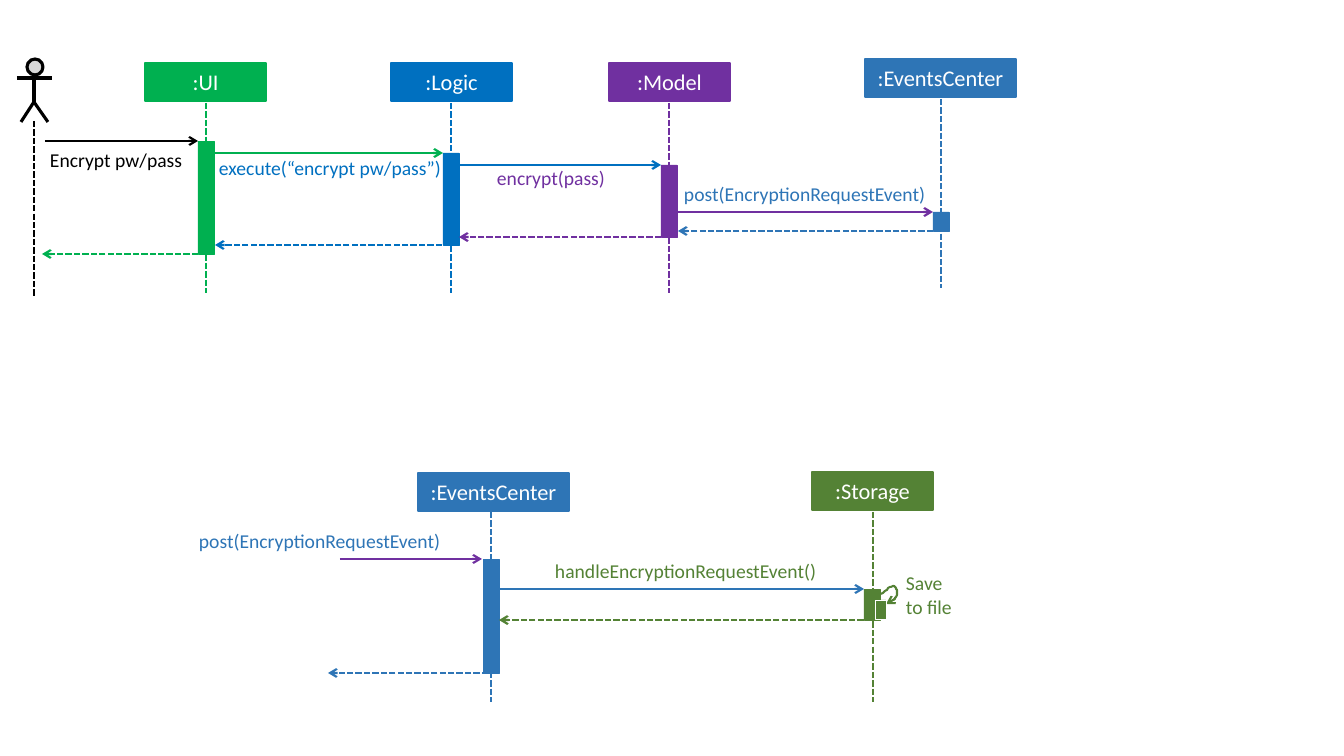
from pptx import Presentation
from pptx.dml.color import RGBColor
from pptx.enum.dml import MSO_LINE
from pptx.enum.shapes import MSO_CONNECTOR, MSO_SHAPE
from pptx.enum.text import MSO_ANCHOR, PP_ALIGN
from pptx.oxml.ns import qn
from pptx.util import Pt
from lxml import etree

RECT, CIRCLE = MSO_SHAPE.RECTANGLE, MSO_SHAPE.FLOWCHART_CONNECTOR
STRAIGHT = MSO_CONNECTOR.STRAIGHT
DASH = MSO_LINE.SQUARE_DOT
MIDDLE, CENTER, LEFT = MSO_ANCHOR.MIDDLE, PP_ALIGN.CENTER, PP_ALIGN.LEFT

PX = 914400 / 100.8
FONT = "Calibri"
HEAD_H, BAR_W = 38, 16
BLACK, WHITE, GREY = "000000", "FFFFFF", "D9D9D9"
UI, LOGIC, MODEL = "00B050", "0070C0", "7030A0"
EVENTS, STORAGE = "2E75B6", "548235"

# label, colour, head (left, top, width), lifeline (x, top, bottom), bar (left, top, bottom)
PARTICIPANTS = [
    (":UI", UI, (145, 63, 121), (206, 103, 293), (198, 141, 254)),
    (":Logic", LOGIC, (391, 63, 121), (451, 103, 293), (443, 153, 245)),
    (":Model", MODEL, (609, 63, 121), (669, 103, 293), (661, 165, 237)),
    (":EventsCenter", EVENTS, (865, 59, 151), (941, 99, 288), (933, 212, 231)),
    (":EventsCenter", EVENTS, (418, 473, 151), (491, 512, 702), (483, 559, 673)),
    (":Storage", STORAGE, (812, 472, 121), (873, 512, 702), (864, 589, 620)),
]
# colour, y, from x, to x
CALLS = [
    (BLACK, 141, 45, 198),
    (UI, 153, 215, 443),
    (LOGIC, 165, 459, 661),
    (MODEL, 212, 678, 933),
    (MODEL, 559, 340, 482),
    (EVENTS, 589, 499, 864),
]
RETURNS = [
    (EVENTS, 231, 933, 678),
    (MODEL, 237, 661, 459),
    (LOGIC, 245, 442, 215),
    (UI, 254, 198, 42),
    (STORAGE, 620, 872, 499),
    (EVENTS, 673, 488, 328),
]
# text, colour, left, top, width, height
LABELS = [
    ("Encrypt pw/pass", BLACK, 50, 148, 137, 24),
    ("execute(“encrypt pw/pass”)", LOGIC, 219, 156, 223, 24),
    ("encrypt(pass)", MODEL, 497, 166, 157, 24),
    ("post(EncryptionRequestEvent)", EVENTS, 684, 182, 277, 24),
    ("post(EncryptionRequestEvent)", EVENTS, 199, 529, 299, 24),
    ("handleEncryptionRequestEvent()", STORAGE, 555, 559, 293, 24),
    ("Save\vto file", STORAGE, 906, 571, 60, 48),
]
ACTOR_X = 34
ACTOR_HEAD = (27, 59, 16, 16)
ACTOR_LINES = [(ACTOR_X, 75, ACTOR_X, 102), (17, 78, 52, 78)]
ACTOR_LEGS = [(21, 122), (ACTOR_X, 102), (48, 122)]
ACTOR_LIFELINE = (ACTOR_X, 121, ACTOR_X, 297)
SELF_BAR = (875, 600, 11, 19)
# Bezier segments of the loop, each four control points
SELF_LOOP = [
    ((881, 594), (886, 590), (891, 586), (894, 586)),
    ((894, 586), (897, 587), (898, 593), (896, 597)),
    ((896, 597), (895, 600), (890, 602), (886, 604)),
]


def emu(*values):
    """Turn pixels into EMU."""
    return [round(v * PX) for v in values]


def rgb(value):
    """Turn a hex string into a colour."""
    return RGBColor.from_string(value)


def style_line(sp, color, width, dashed=False, arrow=False):
    """Set the outline of a shape or connector, with an arrow at its end if asked."""
    sp.line.color.rgb = rgb(color)
    sp.line.width = Pt(width)
    if dashed:
        sp.line.dash_style = DASH
    if arrow:
        ln = sp.line._get_or_add_ln()
        etree.SubElement(ln, qn("a:tailEnd"), type="arrow")


def add_line(shapes, points, color, width=1.5, dashed=False, arrow=False):
    """Add a straight connector without shadow."""
    cx = shapes.add_connector(STRAIGHT, *emu(*points))
    style_line(cx, color, width, dashed, arrow)
    etree.SubElement(cx._element.spPr, qn("a:effectLst"))


def add_block(shapes, kind, box, fill, line, width):
    """Add a filled preset shape without shadow."""
    sp = shapes.add_shape(kind, *emu(*box))
    sp.shadow.inherit = False
    sp.fill.solid()
    sp.fill.fore_color.rgb = rgb(fill)
    style_line(sp, line, width)
    return sp


def add_path(shapes, points, color, width, arrow=False):
    """Add an open, unfilled outline through the points."""
    builder = shapes.build_freeform(*points[0], scale=PX)
    builder.add_line_segments(points[1:], close=False)
    sp = builder.convert_to_shape()
    sp.shadow.inherit = False
    sp.fill.background()
    style_line(sp, color, width, arrow=arrow)


def write(sp, text, color, size, align):
    """Write one paragraph into a shape without margins."""
    tf = sp.text_frame
    tf.word_wrap = True
    tf.margin_left = tf.margin_right = tf.margin_top = tf.margin_bottom = 0
    p = tf.paragraphs[0]
    p.text = text
    p.alignment = align
    p.font.name, p.font.size = FONT, Pt(size)
    p.font.color.rgb = rgb(color)
    return tf


def bezier(a, b, c, d, steps=8):
    """Return points along a cubic curve, start left out."""
    def at(t, i):
        u = 1 - t
        return u**3 * a[i] + 3 * u * u * t * b[i] + 3 * u * t * t * c[i] + t**3 * d[i]
    return [(at(n / steps, 0), at(n / steps, 1)) for n in range(1, steps + 1)]


def add_participant(shapes, label, color, head, life, bar):
    """Add a head with its lifeline and activation bar."""
    left, top, width = head
    sp = add_block(shapes, RECT, (left, top, width, HEAD_H), color, color, 1.5)
    write(sp, label, WHITE, 16, CENTER).vertical_anchor = MIDDLE
    x, start, end = life
    add_line(shapes, (x, start, x, end), color, dashed=True)
    left, top, bottom = bar
    add_block(shapes, RECT, (left, top, BAR_W, bottom - top), color, color, 0.5)


def add_actor(shapes):
    """Add the stick figure as a group, and its lifeline."""
    parts = shapes.add_group_shape().shapes
    add_block(parts, CIRCLE, ACTOR_HEAD, GREY, BLACK, 2.25)
    for points in ACTOR_LINES:
        add_line(parts, points, BLACK, 2.25)
    add_path(parts, ACTOR_LEGS, BLACK, 2.25)
    add_line(shapes, ACTOR_LIFELINE, BLACK, dashed=True)


def add_self_call(shapes):
    """Add the nested bar and the loop arrow that ends at it."""
    points = [SELF_LOOP[0][0]]
    for segment in SELF_LOOP:
        points += bezier(*segment)
    add_path(shapes, points, STORAGE, 1.5, arrow=True)
    add_block(shapes, RECT, SELF_BAR, STORAGE, WHITE, 0.5)


prs = Presentation()
prs.slide_width, prs.slide_height = emu(1344, 756)
shapes = prs.slides.add_slide(prs.slide_layouts[6]).shapes

for participant in PARTICIPANTS:
    add_participant(shapes, *participant)
add_actor(shapes)
for messages, dashed in ((CALLS, False), (RETURNS, True)):
    for color, y, start, end in messages:
        add_line(shapes, (start, y, end, y), color, dashed=dashed, arrow=True)
add_self_call(shapes)
for text, color, *box in LABELS:
    write(shapes.add_textbox(*emu(*box)), text, color, 14, LEFT)

prs.save("out.pptx")
